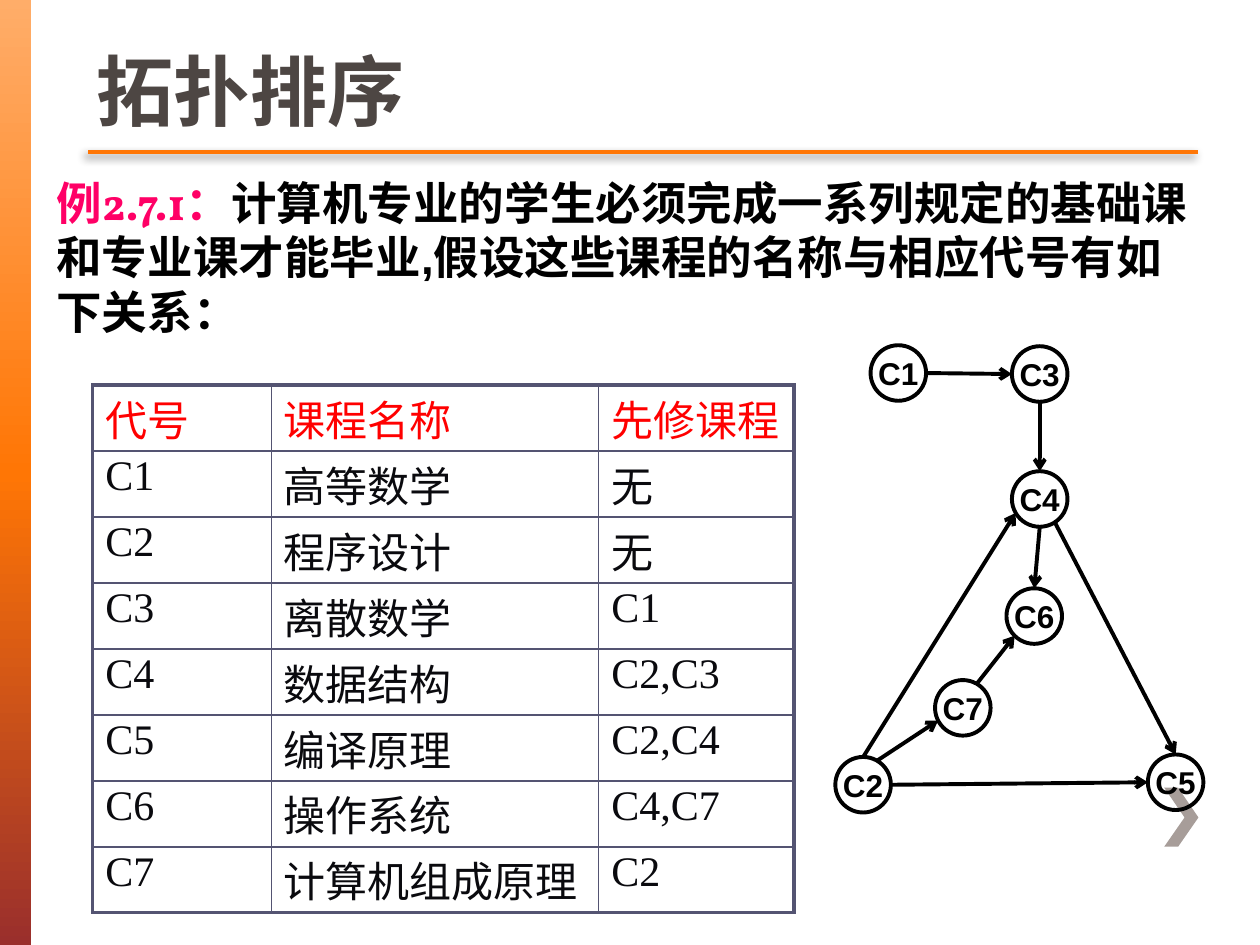
import math
from lxml import etree
from pptx import Presentation
from pptx import util as u
from pptx.dml.color import RGBColor
from pptx.enum import shapes, text
from pptx.oxml import parse_xml
from pptx.oxml.ns import nsdecls, qn

COLORS = {
    "title": "4D4643", "rule": "FF7605", "chevron": "A79D99", "ink": "000000",
    "example": "FF0066", "header": "FF0000", "cell": "0A0A0E", "border": "545472",
}
BAR_STOPS = [(0, "FFAD69"), (50, "FF7605"), (100, "9A2F2C")]

COURSES = [
    ("代号", "课程名称", "先修课程"),
    ("C1", "高等数学", "无"),
    ("C2", "程序设计", "无"),
    ("C3", "离散数学", "C1"),
    ("C4", "数据结构", "C2,C3"),
    ("C5", "编译原理", "C2,C4"),
    ("C6", "操作系统", "C4,C7"),
    ("C7", "计算机组成原理", "C2"),
]

# Centres in cm within the graph box
NODE_SIZE = 1.12
NODES = {
    "C1": (1.31, 0.56), "C3": (4.16, 0.58), "C4": (4.16, 3.1), "C6": (4.05, 5.46),
    "C7": (2.61, 7.31), "C2": (0.6, 8.86), "C5": (6.9, 8.81),
}
# Source, angle of departure, target, angle of arrival (counter-clockwise from right)
EDGES = [
    ("C1", 0, "C3", 180), ("C3", 270, "C4", 90), ("C2", 60, "C7", 207),
    ("C7", 60, "C6", 225), ("C4", 270, "C6", 90), ("C2", 90, "C4", 210),
    ("C2", 0, "C5", 180), ("C4", 303, "C5", 90),
]


def rgb(name):
    return RGBColor.from_string(COLORS[name])


def add_run(paragraph, words, size, font, color, bold=False):
    run = paragraph.add_run()
    run.text = words
    run.font.size = u.Pt(size)
    run.font.name = font
    run.font.bold = bold
    run.font.color.rgb = rgb(color)


def add_line(slide, start, end, color, width, arrow=False, effect=""):
    line = slide.shapes.add_connector(
        shapes.MSO_CONNECTOR.STRAIGHT, *(u.Cm(value) for value in (*start, *end)))
    line.line.color.rgb = rgb(color)
    line.line.width = u.Pt(width)
    if arrow:
        etree.SubElement(line.line._get_or_add_ln(), qn("a:tailEnd"), type="arrow")
    properties = line._element.spPr
    properties.append(parse_xml(f'<a:effectLst {nsdecls("a")}>{effect}</a:effectLst>'))


def add_backdrop(slide, width, height):
    # Gradient bar on the left edge
    bar = slide.shapes.add_shape(
        shapes.MSO_SHAPE.RECTANGLE, 0, 0, u.Cm(0.63), u.Cm(height))
    bar.shadow.inherit = False
    bar.line.fill.background()
    stops = "".join(f'<a:gs pos="{position * 1000}"><a:srgbClr val="{color}"/></a:gs>'
                    for position, color in BAR_STOPS)
    bar._element.spPr.find(qn("a:prstGeom")).addnext(parse_xml(
        f'<a:gradFill {nsdecls("a")}><a:gsLst>{stops}</a:gsLst>'
        '<a:lin ang="5400000" scaled="0"/></a:gradFill>'))

    # Chevron near the lower right corner
    builder = slide.shapes.build_freeform(0, 0, scale=u.Cm(0.01))
    builder.add_line_segments([(28, 0), (69, 60), (28, 119), (0, 119), (41, 60)])
    chevron = builder.convert_to_shape(u.Cm(width - 1.93), u.Cm(height - 3.17))
    chevron.shadow.inherit = False
    chevron.fill.solid()
    chevron.fill.fore_color.rgb = rgb("chevron")
    chevron.line.fill.background()


def add_title(slide, left, top, width, height):
    title = slide.shapes.title
    title.left, title.top, title.width, title.height = map(
        u.Cm, (left, top, width, height))
    title.text_frame.vertical_anchor = text.MSO_ANCHOR.BOTTOM
    paragraph = title.text_frame.paragraphs[0]
    paragraph.alignment = text.PP_ALIGN.LEFT
    add_run(paragraph, "拓扑排序", 44, "Arial", "title", bold=True)

    # Shadowed rule below the title
    rule_y = top + height + 0.2
    add_line(slide, (left + 0.08, rule_y), (left + width + 0.08, rule_y), "rule", 2.5,
             effect='<a:outerShdw blurRad="63500" dist="38100" dir="8100000">'
                    '<a:srgbClr val="000000"><a:alpha val="45000"/></a:srgbClr>'
                    '</a:outerShdw>')


def add_example(slide, left, top, width, height):
    box = slide.shapes.add_textbox(*map(u.Cm, (left, top, width, height)))
    box.text_frame.word_wrap = True
    paragraph = box.text_frame.paragraphs[0]
    add_run(paragraph, "例2.7.1：", 26, "Vollkorn", "example", bold=True)
    add_run(paragraph, "计算机专业的学生必须完成一系列规定的基础课和专业课才能毕业,"
            "假设这些课程的名称与相应代号有如下关系：", 26, "Arial", "ink", bold=True)


def set_borders(cell, outer_sides):
    properties = cell._tc.get_or_add_tcPr()
    for index, side in enumerate("LRTB"):
        width = u.Pt(2.25 if side in outer_sides else 1)
        properties.insert(index, parse_xml(
            f'<a:ln{side} {nsdecls("a")} w="{width}"><a:solidFill>'
            f'<a:srgbClr val="{COLORS["border"]}"/></a:solidFill></a:ln{side}>'))


def add_course_table(slide, left, top, column_widths, row_height):
    row_count, column_count = len(COURSES), len(column_widths)
    table = slide.shapes.add_table(row_count, column_count, *map(
        u.Cm, (left, top, sum(column_widths), row_height * row_count))).table
    table.first_row = table.horz_banding = False
    for column, width in zip(table.columns, column_widths):
        column.width = u.Cm(width)
    for row_index, course in enumerate(COURSES):
        table.rows[row_index].height = u.Cm(row_height)
        for column_index, words in enumerate(course):
            cell = table.cell(row_index, column_index)
            cell.fill.background()
            cell.margin_top = cell.margin_bottom = u.Cm(0.05)
            paragraph = cell.text_frame.paragraphs[0]
            paragraph.alignment = text.PP_ALIGN.JUSTIFY
            paragraph.space_before = u.Pt(2.4)
            add_run(paragraph, words, 24, "Times New Roman",
                    "cell" if row_index else "header")
            edges = {"L": column_index == 0, "R": column_index == column_count - 1,
                     "T": row_index == 0, "B": row_index == row_count - 1}
            set_borders(cell, [side for side, outer in edges.items() if outer])


def add_course_graph(slide, left, top):
    radius = NODE_SIZE / 2

    def rim_point(name, degrees):
        x, y = NODES[name]
        angle = math.radians(degrees)
        return left + x + radius * math.cos(angle), top + y - radius * math.sin(angle)

    # Courses
    for name, (x, y) in NODES.items():
        node = slide.shapes.add_shape(shapes.MSO_SHAPE.OVAL, *map(
            u.Cm, (left + x - radius, top + y - radius, NODE_SIZE, NODE_SIZE)))
        node.shadow.inherit = False
        node.fill.background()
        node.line.color.rgb = rgb("ink")
        node.line.width = u.Pt(2.25)
        frame = node.text_frame
        frame.word_wrap = False
        frame.margin_left = frame.margin_right = 0
        frame.margin_top = frame.margin_bottom = 0
        frame.vertical_anchor = text.MSO_ANCHOR.MIDDLE
        frame.paragraphs[0].alignment = text.PP_ALIGN.CENTER
        add_run(frame.paragraphs[0], name, 18, "Arial", "ink", bold=True)

    # Prerequisite arrows
    for source, departure, target, arrival in EDGES:
        add_line(slide, rim_point(source, departure), rim_point(target, arrival),
                 "ink", 2.25, arrow=True)


def main():
    width, height = 25.4, 19.05
    presentation = Presentation()
    presentation.slide_width, presentation.slide_height = u.Cm(width), u.Cm(height)
    slide = presentation.slides.add_slide(presentation.slide_layouts.get_by_name("Title Only"))
    add_backdrop(slide, width, height)
    add_title(slide, 1.7, 0, 22.38, 2.87)
    add_example(slide, 0.89, 3.4, 23.55, 4.7)
    add_course_table(slide, 1.87, 7.76, [3.6, 6.6, 3.94], 1.33)
    add_course_graph(slide, 16.8, 6.96)
    presentation.save("out.pptx")


main()
